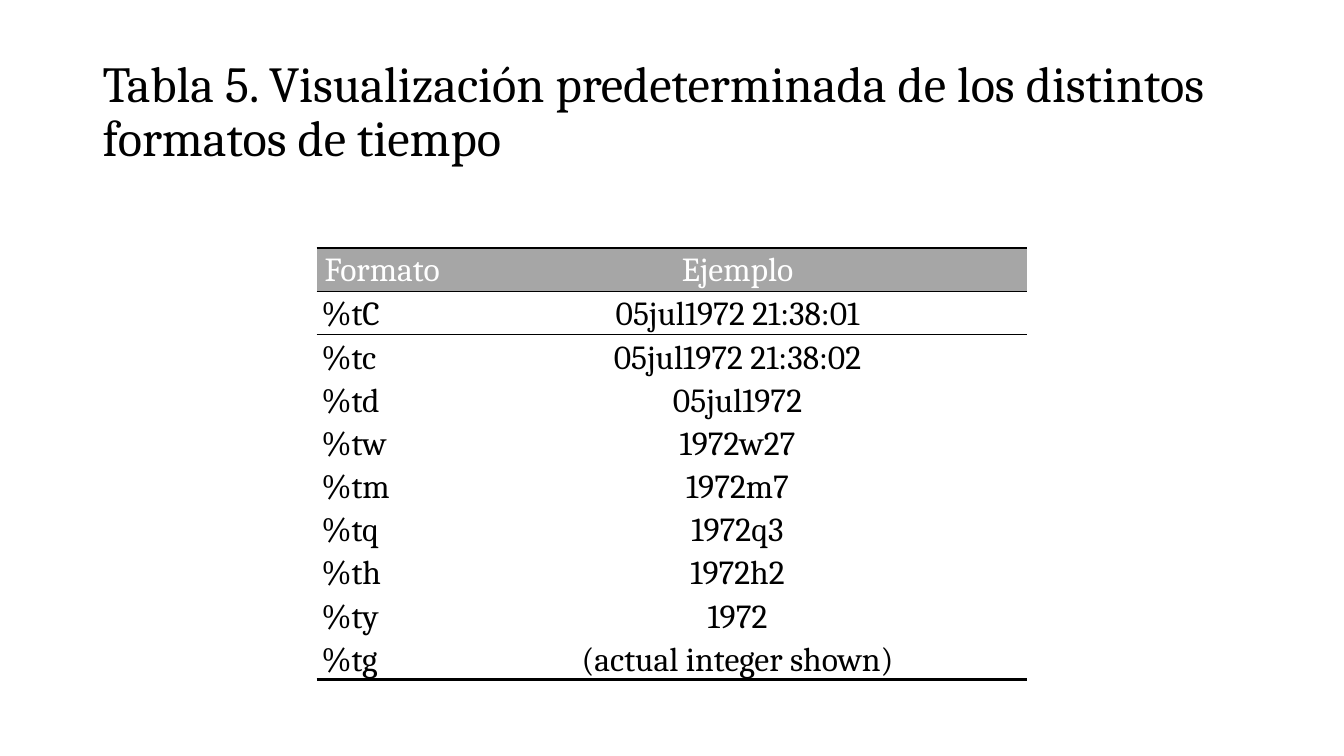
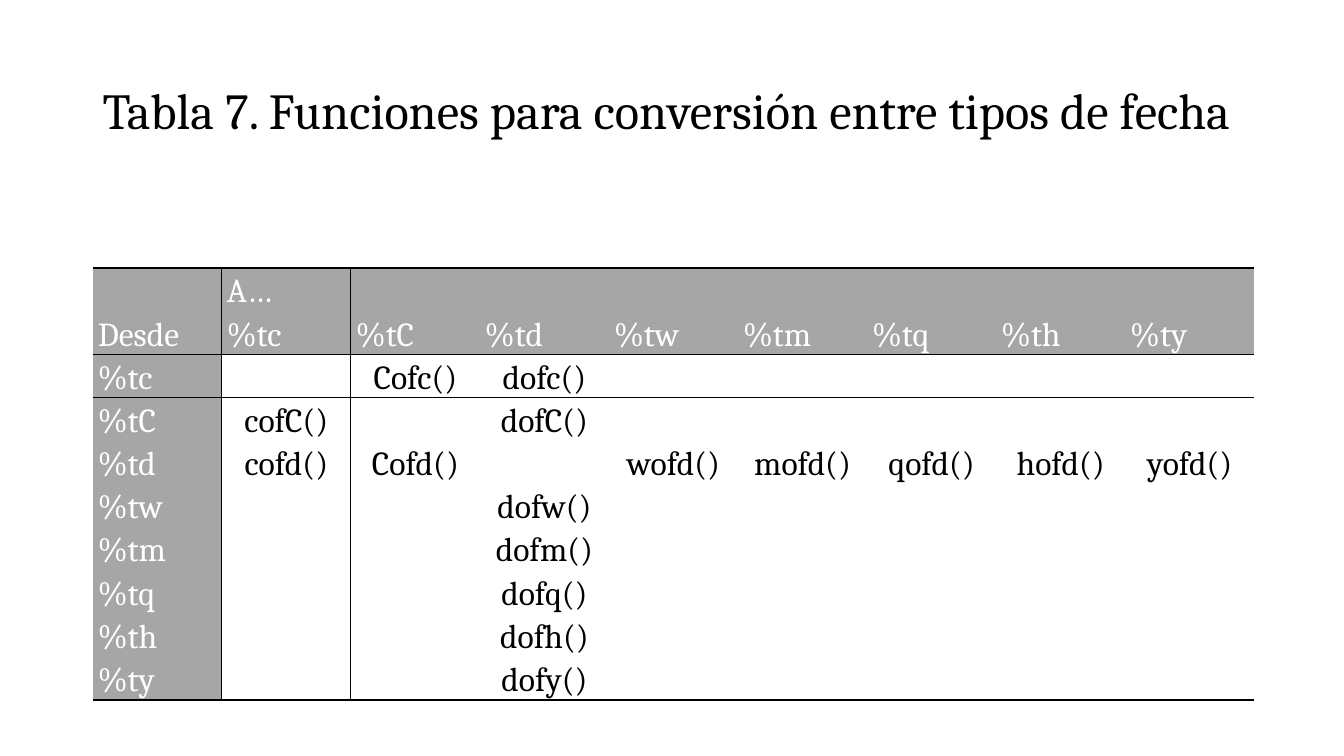
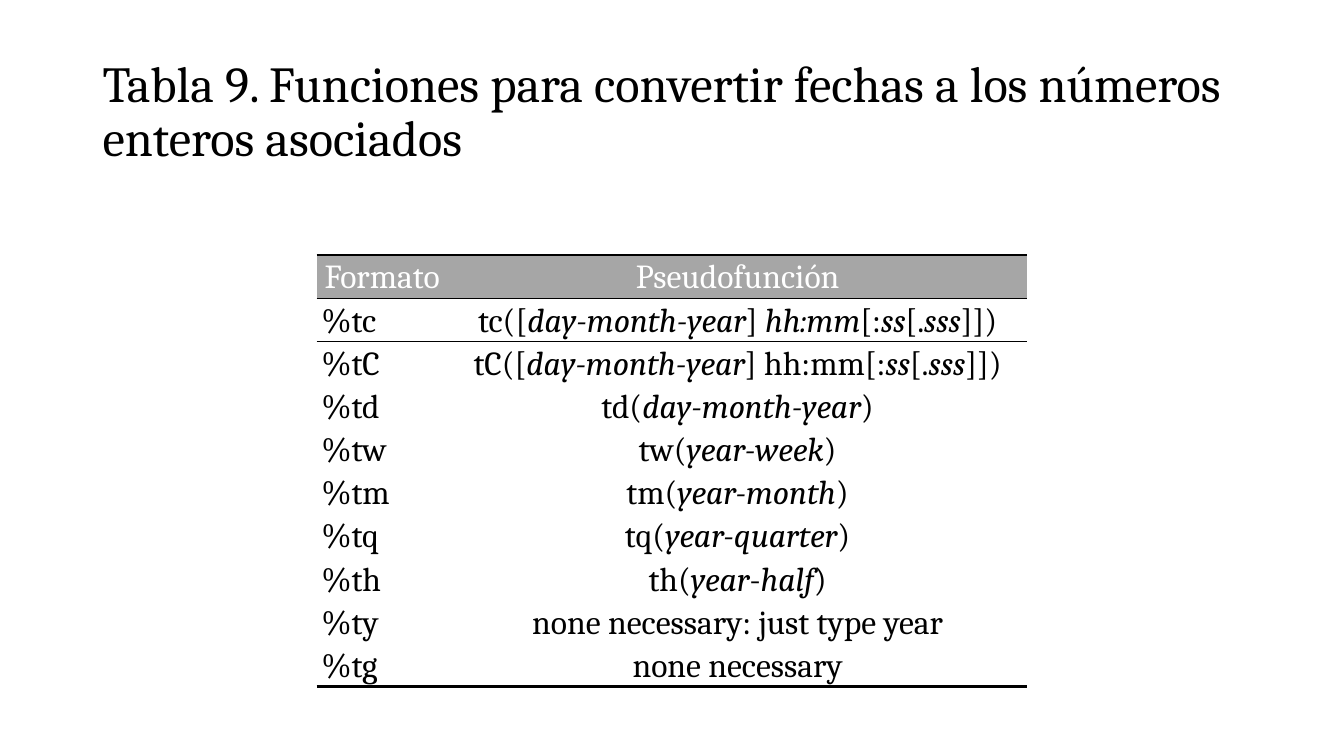
"""Build three slides of date format and function tables."""
from lxml import etree
from pptx import Presentation
from pptx.dml.color import RGBColor
from pptx.enum.text import MSO_ANCHOR, PP_ALIGN
from pptx.oxml.ns import qn
from pptx.util import Inches, Pt

MIDDLE, BOTTOM = MSO_ANCHOR.MIDDLE, MSO_ANCHOR.BOTTOM
LEFT, CENTER = PP_ALIGN.LEFT, PP_ALIGN.CENTER

COLORS = {"ink": "000000", "head": "A6A6A6", "head_text": "FFFFFF"}
FONT = "Cambria"
PLAIN_TABLE = "{2D5ABB26-0587-4C30-8999-92F81FD0307C}"
WIDTH, HEIGHT = 13.33, 7.5
TITLE_PLACE = (0.92, 0.4, 11.5, 1.45)
ROW_HEIGHT = 0.41
THIN, MEDIUM, THICK = 1, 1.5, 2.25
TYPES = ["%tc", "%tC", "%td", "%tw", "%tm", "%tq", "%th", "%ty"]

SLIDES = [
    {
        "title": "Tabla 5. Visualización predeterminada de los distintos formatos de tiempo",
        "at": (3.14, 2.46), "columns": [1.3, 5.75],
        "head_rows": 1, "side_head": False, "top_lines": [MEDIUM, THICK],
        "head_anchor": MIDDLE, "body_anchor": BOTTOM,
        "rows": [
            ["Formato", "Ejemplo"],
            ["%tC", "05jul1972 21:38:01"],
            ["%tc", "05jul1972 21:38:02"],
            ["%td", "05jul1972"],
            ["%tw", "1972w27"],
            ["%tm", "1972m7"],
            ["%tq", "1972q3"],
            ["%th", "1972h2"],
            ["%ty", "1972"],
            ["%tg", "(actual integer shown)"],
        ],
    },
    {
        "title": "Tabla 7. Funciones para conversión entre tipos de fecha",
        "at": (0.92, 2.66), "columns": [1.28] * 9,
        "head_rows": 2, "side_head": True, "top_lines": [THICK] * 9,
        "head_anchor": BOTTOM, "body_anchor": BOTTOM,
        "rows": [
            ["", "A…"],
            ["Desde", *TYPES],
            ["%tc", "", "Cofc()", "dofc()"],
            ["%tC", "cofC()", "", "dofC()"],
            ["%td", "cofd()", "Cofd()", "", "wofd()", "mofd()", "qofd()", "hofd()", "yofd()"],
            *[[kind, "", "", f"dof{kind[-1]}()"] for kind in TYPES[3:]],
        ],
    },
    {
        "title": "Tabla 9. Funciones para convertir fechas a los números enteros asociados",
        "at": (3.14, 2.53), "columns": [1.3, 5.75],
        "head_rows": 1, "side_head": False, "top_lines": [MEDIUM] * 2,
        "head_anchor": MIDDLE, "body_anchor": MIDDLE,
        "rows": [
            ["Formato", "Pseudofunción"],
            ["%tc", "tc([*day-month-year*] *hh:mm*[:*ss*[.*sss*]])"],
            ["%tC", "tC([*day-month-year*] hh:mm[:*ss*[.*sss*]])"],
            ["%td", "td(*day-month-year*)"],
            ["%tw", "tw(*year-week*)"],
            ["%tm", "tm(*year-month*)"],
            ["%tq", "tq(*year-quarter*)"],
            ["%th", "th(*year*-*half*)"],
            ["%ty", "none necessary: just type year"],
            ["%tg", "none necessary"],
        ],
    },
]


def write(frame, text, size, color, spacing, align=LEFT):
    """Fill a text frame with one paragraph; asterisks enclose italics."""
    para = frame.paragraphs[0]
    para.alignment, para.line_spacing = align, spacing
    para.font.name, para.font.size = FONT, Pt(size)
    para.font.color.rgb = RGBColor.from_string(COLORS[color])
    for index, part in enumerate(text.split("*")):
        if part:
            span = para.add_run()
            span.text = part
            if index % 2:
                span.font.italic = True


def add_borders(cell, weights):
    """Draw the cell edges that have a weight, in the order left, right, top, bottom."""
    properties = cell._tc.get_or_add_tcPr()
    for side, weight in zip("LRTB", weights):
        if weight:
            line = etree.SubElement(properties, qn(f"a:ln{side}"), w=str(Pt(weight)))
            fill = etree.SubElement(line, qn("a:solidFill"))
            etree.SubElement(fill, qn("a:srgbClr"), val=COLORS["ink"])


def add_title(page, text):
    """Place the slide title."""
    frame = page.shapes.add_textbox(*map(Inches, TITLE_PLACE)).text_frame
    frame.word_wrap, frame.vertical_anchor = True, MIDDLE
    write(frame, text, 36, "ink", 0.9)


def add_grid(page, content):
    """Place the table with its head fills and rules."""
    rows, columns = content["rows"], content["columns"]
    heads, side_head = content["head_rows"], content["side_head"]
    size = (sum(columns), ROW_HEIGHT * len(rows))
    table = page.shapes.add_table(
        len(rows), len(columns), *map(Inches, content["at"] + size)).table
    table.first_row = table.horz_banding = False
    table._tbl.tblPr.find(qn("a:tableStyleId")).text = PLAIN_TABLE
    for column, width in zip(table.columns, columns):
        column.width = Inches(width)
    upright = {1: THIN} if side_head else {}
    for r, texts in enumerate(rows):
        table.rows[r].height = Inches(ROW_HEIGHT)
        for c, top_line in enumerate(content["top_lines"]):
            level = {0: top_line, heads: THIN, len(rows): THICK}
            cell = table.cell(r, c)
            cell.margin_left = cell.margin_right = Inches(0.05)
            cell.margin_top = cell.margin_bottom = 0
            in_head = r < heads
            cell.vertical_anchor = content["head_anchor" if in_head else "body_anchor"]
            add_borders(cell, (upright.get(c), upright.get(c + 1),
                               level.get(r), level.get(r + 1)))
            shaded = in_head or (side_head and c == 0)
            if shaded:
                cell.fill.solid()
                cell.fill.fore_color.rgb = RGBColor.from_string(COLORS["head"])
            else:
                cell.fill.background()
            centered = not side_head if in_head else c > 0
            write(cell.text_frame, texts[c] if c < len(texts) else "", 24,
                  "head_text" if shaded else "ink", 1.07, CENTER if centered else LEFT)


deck = Presentation()
deck.slide_width, deck.slide_height = Inches(WIDTH), Inches(HEIGHT)
for content in SLIDES:
    page = deck.slides.add_slide(deck.slide_layouts[6])
    add_title(page, content["title"])
    add_grid(page, content)
deck.save("out.pptx")
